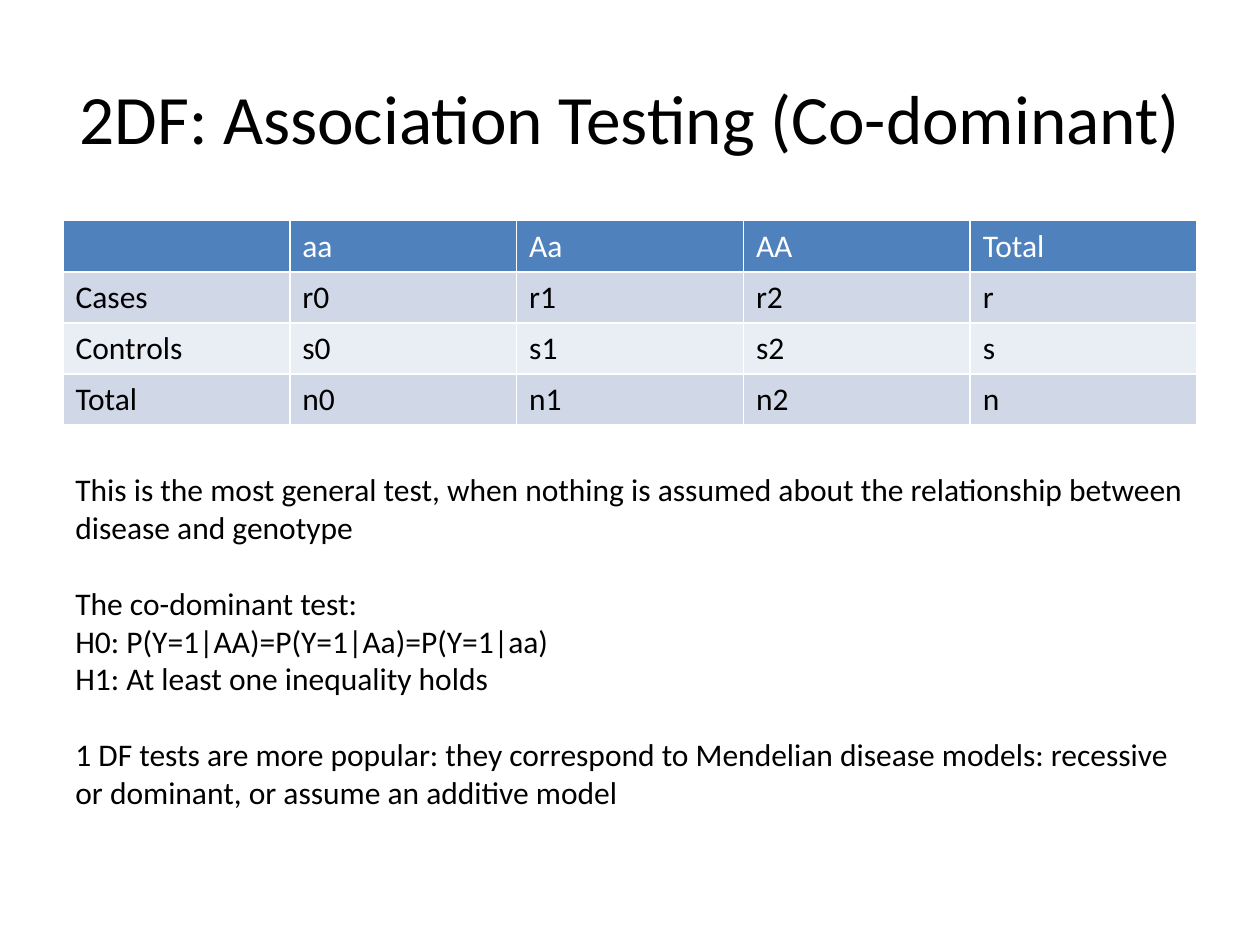
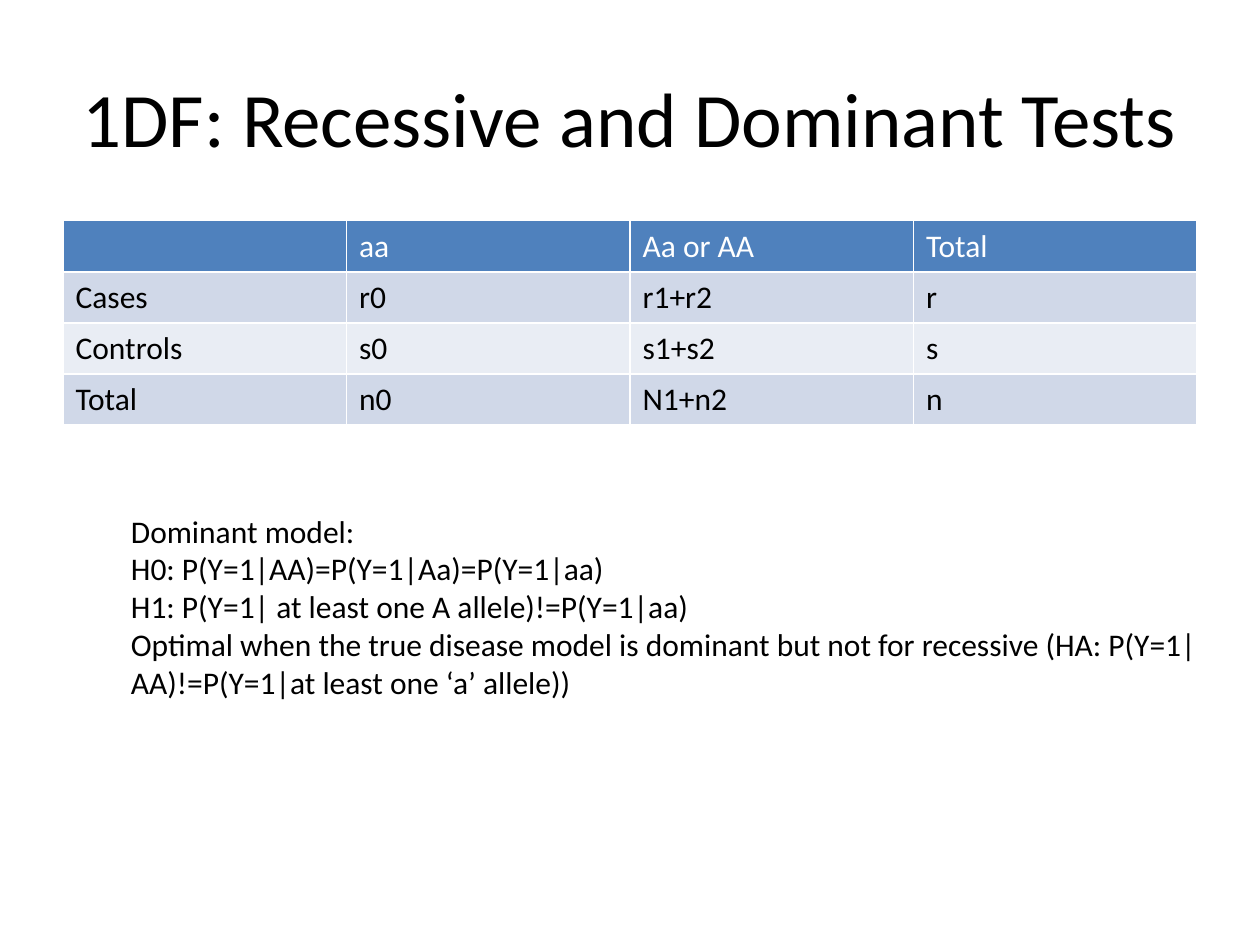
from pptx import Presentation
from pptx.dml.color import RGBColor
from pptx.enum.text import MSO_ANCHOR, PP_ALIGN
from pptx.util import Cm, Pt

MIDDLE, TOP = MSO_ANCHOR.MIDDLE, MSO_ANCHOR.TOP
LEFT, CENTER = PP_ALIGN.LEFT, PP_ALIGN.CENTER

FONT = "Calibri"
BODY_SIZE = 18
PARAGRAPH_GAP = 21.8
BLACK, WHITE = "000000", "FFFFFF"
HEADER_FILL = "4F81BD"
BAND_FILLS = ("D0D8E8", "E9EDF4")

# Boxes are left, top, width, height in centimetres.
PAGE_SIZE = (25.4, 19.05)
TITLE_BOX = (1.27, 0.76, 22.86, 3.18)
TABLE_BOX = (1.27, 4.45, 22.86, 4.12)

SLIDES = [
    {
        "title": "2DF: Association Testing (Co-dominant)",
        "title_size": 39.6,
        "counts": [
            ["", "aa", "Aa", "AA", "Total"],
            ["Cases", "r0", "r1", "r2", "r"],
            ["Controls", "s0", "s1", "s2", "s"],
            ["Total", "n0", "n1", "n2", "n"],
        ],
        "notes_box": (1.27, 9.35, 22.86, 9.7),
        "notes": [
            ["This is the most general test, when nothing is assumed about "
             "the relationship between disease and genotype"],
            ["The co-dominant test:",
             "H0: P(Y=1|AA)=P(Y=1|Aa)=P(Y=1|aa)",
             "H1: At least one inequality holds"],
            ["1 DF tests are more popular: they correspond to Mendelian "
             "disease models: recessive or dominant, or assume an additive "
             "model"],
        ],
    },
    {
        "title": "1DF: Recessive and Dominant Tests",
        "title_size": 44,
        "counts": [
            ["", "aa", "Aa or AA", "Total"],
            ["Cases", "r0", "r1+r2", "r"],
            ["Controls", "s0", "s1+s2", "s"],
            ["Total", "n0", "N1+n2", "n"],
        ],
        "notes_box": (2.39, 10.19, 22.33, 4.88),
        "notes": [
            ["Dominant model:",
             "H0: P(Y=1|AA)=P(Y=1|Aa)=P(Y=1|aa)",
             "H1: P(Y=1| at least one A allele)!=P(Y=1|aa)",
             "Optimal when the true disease model is dominant but not for "
             "recessive (HA: P(Y=1|AA)!=P(Y=1|at least one ‘a’ allele))"],
        ],
    },
]


def rgb(color):
    return RGBColor.from_string(color)


def write(para, text, size=BODY_SIZE, color=BLACK):
    para.text = text
    font_values = {"name": FONT, "size": Pt(size), "bold": False}
    for name, value in font_values.items():
        setattr(para.font, name, value)
    para.font.color.rgb = rgb(color)


def add_text(page, box, groups, size=BODY_SIZE, align=LEFT, anchor=TOP):
    """Write groups of lines, with a gap between one group and the next."""
    frame = page.shapes.add_textbox(*map(Cm, box)).text_frame
    frame.word_wrap = True
    frame.vertical_anchor = anchor
    para = None
    for group in groups:
        for index, line in enumerate(group):
            starts_group = para is not None and index == 0
            para = frame.add_paragraph() if para else frame.paragraphs[0]
            write(para, line, size)
            para.alignment = align
            if starts_group:
                para.space_before = Pt(PARAGRAPH_GAP)


def add_counts_table(page, box, counts):
    table = page.shapes.add_table(
        len(counts), len(counts[0]), *map(Cm, box)).table
    for column in table.columns:
        column.width = Cm(box[2] / len(counts[0]))
    for row_index, row in enumerate(counts):
        table.rows[row_index].height = Cm(box[3] / len(counts))
        is_header = row_index == 0
        fill = HEADER_FILL if is_header else BAND_FILLS[(row_index - 1) % 2]
        for column_index, text in enumerate(row):
            cell = table.cell(row_index, column_index)
            cell.fill.solid()
            cell.fill.fore_color.rgb = rgb(fill)
            write(cell.text_frame.paragraphs[0], text,
                  color=WHITE if is_header else BLACK)


def add_test_slide(deck, content):
    page = deck.slides.add_slide(deck.slide_layouts[6])
    add_text(page, TITLE_BOX, [[content["title"]]],
             content["title_size"], CENTER, MIDDLE)
    add_counts_table(page, TABLE_BOX, content["counts"])
    add_text(page, content["notes_box"], content["notes"])


def main():
    deck = Presentation()
    deck.slide_width, deck.slide_height = map(Cm, PAGE_SIZE)
    for content in SLIDES:
        add_test_slide(deck, content)
    deck.save("out.pptx")


if __name__ == "__main__":
    main()
